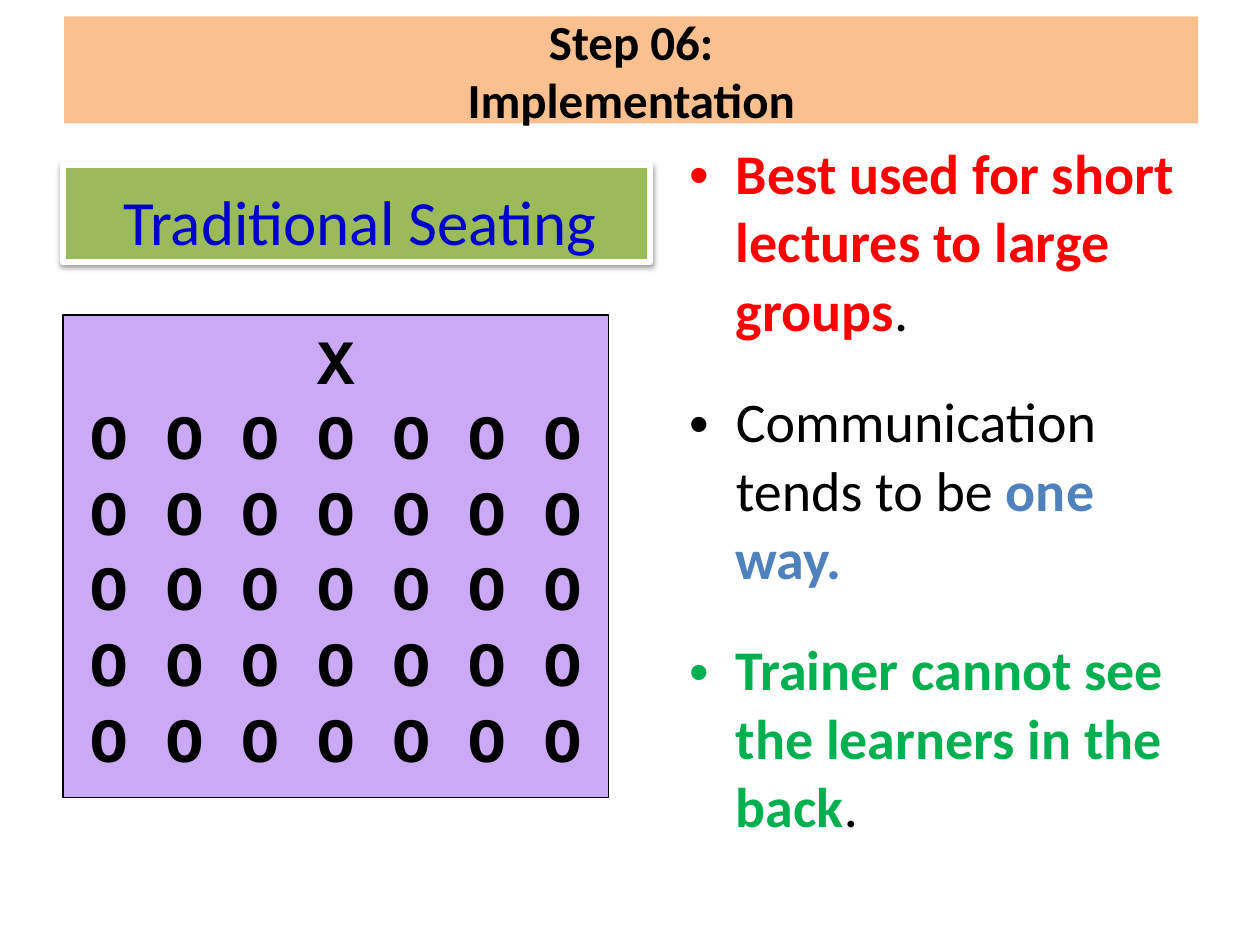
from lxml import etree
from pptx import Presentation
from pptx import util as u
from pptx.dml.color import RGBColor
from pptx.enum import shapes, text
from pptx.oxml.ns import qn

COLORS = {
    "black": "000000", "white": "FFFFFF", "peach": "FAC090", "lilac": "CAA9F5",
    "olive": "9BBB59", "navy": "0000CC", "red": "FF0000", "blue": "4F81BD",
    "green": "00B050",
}
POINTS = [
    [("Best used for short lectures to large groups", "red", True), (".", "black", False)],
    [("Communication tends to be ", "black", False), ("one way.", "blue", True)],
    [("Trainer cannot see the learners in the back", "green", True), (".", "black", False)],
]


def rgb(name):
    return RGBColor.from_string(COLORS[name])


def style(font, size, color, bold=False, face="Calibri"):
    font.name, font.size, font.bold = face, u.Pt(size), bold
    font.color.rgb = rgb(color)


def inches(box):
    return [u.Inches(value) for value in box]


def add_panel(slide, box, fill, line, line_width):
    panel = slide.shapes.add_shape(shapes.MSO_SHAPE.RECTANGLE, *inches(box))
    panel.shadow.inherit = False
    panel.fill.solid()
    panel.fill.fore_color.rgb = rgb(fill)
    panel.line.color.rgb = rgb(line)
    panel.line.width = u.Pt(line_width)
    return panel


def add_heading(slide, box):
    heading = slide.shapes.title
    heading.left, heading.top, heading.width, heading.height = inches(box)
    heading.fill.solid()
    heading.fill.fore_color.rgb = rgb("peach")
    frame = heading.text_frame
    frame.text = "Step 06:\vImplementation"
    frame.auto_size = text.MSO_AUTO_SIZE.NONE
    frame.vertical_anchor = text.MSO_ANCHOR.MIDDLE
    frame.paragraphs[0].alignment = text.PP_ALIGN.CENTER
    for run in frame.paragraphs[0].runs:
        style(run.font, 28, "black", True)


def add_seating_label(slide, box):
    label = add_panel(slide, box, "olive", "white", 3)
    effects = label._element.spPr.find(qn("a:effectLst"))
    shadow = etree.SubElement(effects, qn("a:outerShdw"), blurRad=str(u.Pt(3.1)),
                              dist=str(u.Pt(1.6)), dir="5400000", rotWithShape="0")
    tint = etree.SubElement(shadow, qn("a:srgbClr"), val=COLORS["black"])
    etree.SubElement(tint, qn("a:alpha"), val="38000")
    frame = label.text_frame
    frame.text = "Traditional Seating"
    frame.vertical_anchor = text.MSO_ANCHOR.MIDDLE
    frame.margin_left, frame.margin_top, frame.margin_bottom = inches((0.48, 0.12, 0.02))
    frame.paragraphs[0].alignment = text.PP_ALIGN.LEFT
    style(frame.paragraphs[0].runs[0].font, 36, "navy")


def add_seating_plan(slide, box, rows, seats):
    plan = add_panel(slide, box, "lilac", "black", 0.75)
    frame = plan.text_frame
    frame.vertical_anchor = text.MSO_ANCHOR.TOP
    frame.text = "\n".join(["X"] + [" ".join("O" * seats)] * rows)
    for row in frame.paragraphs:
        row.alignment = text.PP_ALIGN.CENTER
        style(row.runs[0].font, 36, "black", True, "Courier New")


def add_points(slide, box, gutter):
    left, top, width, height = box
    points = slide.shapes.add_table(len(POINTS), 2, *inches(box)).table
    points.first_row = points.horz_banding = False
    points.columns[0].width = u.Inches(gutter)
    points.columns[1].width = u.Inches(width - gutter)
    for row, parts in zip(points.rows, POINTS):
        row.height = u.Inches(height / len(POINTS))
        for cell in row.cells:
            cell.fill.background()
        point = row.cells[1].text_frame.paragraphs[0]
        for words, color, bold in parts:
            run = point.add_run()
            run.text = words
            style(run.font, 32, color, bold)
        indent = u.Inches(0.37)
        props = point._p.get_or_add_pPr()
        props.set("marL", str(indent))
        props.set("indent", str(-indent))
        etree.SubElement(props, qn("a:buFont"), typeface="Arial")
        etree.SubElement(props, qn("a:buChar"), char="•")


deck = Presentation()
deck.slide_width, deck.slide_height = u.Inches(10), u.Inches(7.5)
slide = deck.slides.add_slide(deck.slide_layouts[5])
add_heading(slide, (0.51, 0.13, 9, 0.85))
add_seating_plan(slide, (0.5, 2.5, 4.33, 3.83), rows=5, seats=7)
add_points(slide, (5.08, 1.07, 4.56, 5.91), gutter=0.29)
add_seating_label(slide, (0.5, 1.31, 4.66, 0.77))
deck.save("out.pptx")
